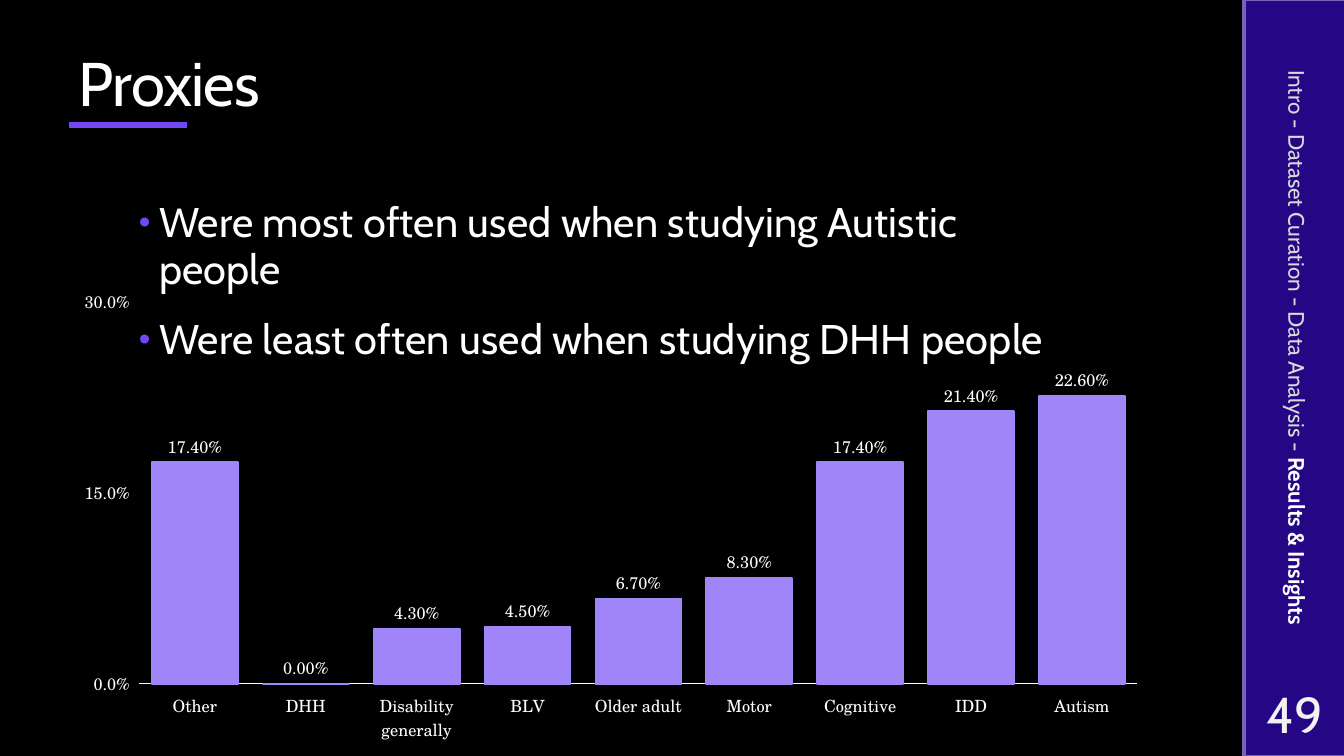
from lxml import etree
from pptx import Presentation
from pptx.chart.data import CategoryChartData
from pptx.dml.color import RGBColor
from pptx.enum.chart import (
    XL_AXIS_CROSSES as Crosses, XL_CHART_TYPE as ChartType,
    XL_LABEL_POSITION as LabelPosition, XL_TICK_LABEL_POSITION as TickLabels,
    XL_TICK_MARK as TickMark)
from pptx.enum.shapes import MSO_CONNECTOR as Connector, MSO_SHAPE as Shape
from pptx.enum.text import MSO_ANCHOR as Anchor, MSO_AUTO_SIZE as AutoSize, PP_ALIGN as Align
from pptx.oxml import parse_xml
from pptx.oxml.ns import nsdecls, qn
from pptx.util import Cm, Pt

BLACK = RGBColor(0x00, 0x00, 0x00)
WHITE = RGBColor(0xFF, 0xFF, 0xFF)
OFF_WHITE = RGBColor(0xF2, 0xF2, 0xF2)
GREY = RGBColor(0xD9, 0xD9, 0xD9)
INDIGO = RGBColor(0x25, 0x07, 0x85)
BORDER = RGBColor(0x76, 0x62, 0xB7)
VIOLET = RGBColor(0x71, 0x48, 0xF4)
LILAC = RGBColor(0xA0, 0x85, 0xF8)
TEXT_FONT = "Cabin"
CHART_FONT = "TeX Gyre Schola"

PROXY_SHARES = {
    "Other": 0.174, "DHH": 0, "Disability generally": 0.043, "BLV": 0.045,
    "Older adult": 0.067, "Motor": 0.083, "Cognitive": 0.174, "IDD": 0.214,
    "Autism": 0.226,
}


def box(left, top, width, height):
    return Cm(left), Cm(top), Cm(width), Cm(height)


def format_font(font, name, size, color, bold=False):
    font.name, font.size, font.bold = name, Pt(size), bold
    font.color.rgb = color


def add_text(paragraph, text, size=16, color=WHITE, bold=False, align=Align.LEFT,
             line_spacing=None, tracking=0):
    """Append a formatted run; tracking is in points."""
    paragraph.alignment = align
    if line_spacing:
        paragraph.line_spacing = line_spacing
    run = paragraph.add_run()
    run.text = text
    format_font(run.font, TEXT_FONT, size, color, bold)
    if tracking:
        run._r.get_or_add_rPr().set("spc", str(round(tracking * 100)))


def add_text_box(slide, bounds, anchor=Anchor.TOP):
    shape = slide.shapes.add_textbox(*bounds)
    shape.text_frame.word_wrap = True
    shape.text_frame.vertical_anchor = anchor
    return shape


def add_panel(slide, left):
    panel = slide.shapes.add_shape(Shape.RECTANGLE, *box(left, 0, 2.54, 19.05))
    panel.shadow.inherit = False
    panel.fill.solid()
    panel.fill.fore_color.rgb = INDIGO
    panel.line.color.rgb = BORDER
    panel.line.width = Pt(1.1)


def add_rule(slide, left, right, top):
    rule = slide.shapes.add_connector(Connector.STRAIGHT, Cm(left), Cm(top), Cm(right), Cm(top))
    rule.line.color.rgb = VIOLET
    rule.line.width = Pt(4.5)
    etree.SubElement(rule._element.spPr, qn("a:effectLst"))


def add_bullet(paragraph):
    properties = paragraph._p.get_or_add_pPr()
    properties.set("marL", str(Cm(0.51)))
    properties.set("indent", str(-Cm(0.51)))
    for xml in (f'<a:buClr {nsdecls("a")}><a:srgbClr val="{VIOLET}"/></a:buClr>',
                f'<a:buSzPct {nsdecls("a")} val="80000"/>',
                f'<a:buFont {nsdecls("a")} typeface="Arial"/>',
                f'<a:buChar {nsdecls("a")} char="•"/>'):
        properties.append(parse_xml(xml))


def add_bullets(slide, bounds, lines):
    frame = add_text_box(slide, bounds).text_frame
    for index, line in enumerate(lines):
        paragraph = frame.add_paragraph() if index else frame.paragraphs[0]
        add_bullet(paragraph)
        if index:
            paragraph.space_before = Pt(14)
        paragraph.space_after = Pt(2)
        add_text(paragraph, line, size=29.6, line_spacing=0.95, tracking=0.1)


def set_plot_area(chart, **fractions):
    """Place the inner plot area by fractions x, y, w, h of the chart."""
    plot_area = chart._chartSpace.chart.plotArea
    for old_layout in plot_area.findall(qn("c:layout")):
        plot_area.remove(old_layout)
    settings = {"layoutTarget": "inner", "xMode": "edge", "yMode": "edge", **fractions}
    children = "".join(f'<c:{name} val="{value}"/>' for name, value in settings.items())
    plot_area.insert(0, parse_xml(
        f'<c:layout {nsdecls("c")}><c:manualLayout>{children}</c:manualLayout></c:layout>'))


def add_share_chart(slide, bounds):
    data = CategoryChartData(number_format="0.00%")
    data.categories = list(PROXY_SHARES)
    data.add_series("Series 1", list(PROXY_SHARES.values()))
    chart = slide.shapes.add_chart(ChartType.COLUMN_CLUSTERED, *bounds, data).chart
    chart.has_legend = chart.has_title = False
    format_font(chart.font, CHART_FONT, 10, WHITE)
    set_plot_area(chart, x=0.02, y=0.05, w=0.91, h=0.81)

    # Columns and their labels
    plot = chart.plots[0]
    plot.gap_width, plot.overlap, plot.vary_by_categories = 29, -27, False
    columns = plot.series[0].format
    columns.fill.solid()
    columns.fill.fore_color.rgb = LILAC
    columns.line.color.rgb = LILAC
    columns.line.width = Pt(1.25)
    plot.has_data_labels = True
    labels = plot.data_labels
    labels.show_value = True
    labels.position = LabelPosition.OUTSIDE_END
    labels.number_format, labels.number_format_is_linked = "0.00%", False
    format_font(labels.font, CHART_FONT, 12, WHITE)

    # Axes, with the scale on the right
    category_axis, value_axis = chart.category_axis, chart.value_axis
    for axis in (category_axis, value_axis):
        axis.has_major_gridlines = False
        format_font(axis.tick_labels.font, CHART_FONT, 12, WHITE)
    category_axis.crosses = Crosses.MAXIMUM
    category_axis.tick_label_position = TickLabels.LOW
    category_axis.major_tick_mark = TickMark.NONE
    category_axis.format.line.color.rgb = WHITE
    category_axis.format.line.width = Pt(0.75)
    value_axis.minimum_scale, value_axis.maximum_scale = 0, 0.3
    value_axis.major_unit = 0.15
    value_axis.major_tick_mark = TickMark.OUTSIDE
    value_axis.tick_labels.number_format = "0.0%"
    value_axis.tick_labels.number_format_is_linked = False
    value_axis.format.line.fill.background()


def set_title(slide, bounds, text):
    title = slide.shapes.title
    title.left, title.top, title.width, title.height = bounds
    title.text_frame.auto_size = AutoSize.NONE
    title.text_frame.vertical_anchor = Anchor.BOTTOM
    add_text(title.text_frame.paragraphs[0], text, size=44, line_spacing=0.9, tracking=-0.5)


def main():
    presentation = Presentation()
    presentation.slide_width, presentation.slide_height = Cm(33.87), Cm(19.05)
    slide = presentation.slides.add_slide(presentation.slide_layouts[5])
    slide.background.fill.solid()
    slide.background.fill.fore_color.rgb = BLACK

    # Title with its rule
    set_title(slide, box(1.73, 0.81, 26.92, 2.34), "Proxies")
    add_rule(slide, 1.73, 4.72, 3.15)

    # Side panel with section trail and slide number
    for left in (31.32, 31.37):
        add_panel(slide, left)
    number = add_text_box(slide, box(31.37, 17.15, 2.54, 1.65), Anchor.MIDDLE).text_frame
    number.margin_left = number.margin_right = Cm(0.13)
    add_text(number.paragraphs[0], "49", size=36, color=OFF_WHITE, align=Align.CENTER)
    trail = add_text_box(slide, box(24.74, 8.2, 15.9, 1.12), Anchor.MIDDLE)
    trail.rotation = 90
    sections = trail.text_frame.paragraphs[0]
    add_text(sections, "Intro - Dataset Curation - Data Analysis - ", color=GREY, align=Align.CENTER)
    add_text(sections, "Results & Insights", bold=True, align=Align.CENTER)

    # Chart and findings
    add_share_chart(slide, box(2.13, 7.01, 28.47, 11.89))
    add_bullets(slide, box(3.25, 4.9, 23.88, 4.95), (
        "Were most often used when studying Autistic people",
        "Were least often used when studying DHH people"))

    presentation.save("out.pptx")


if __name__ == "__main__":
    main()
